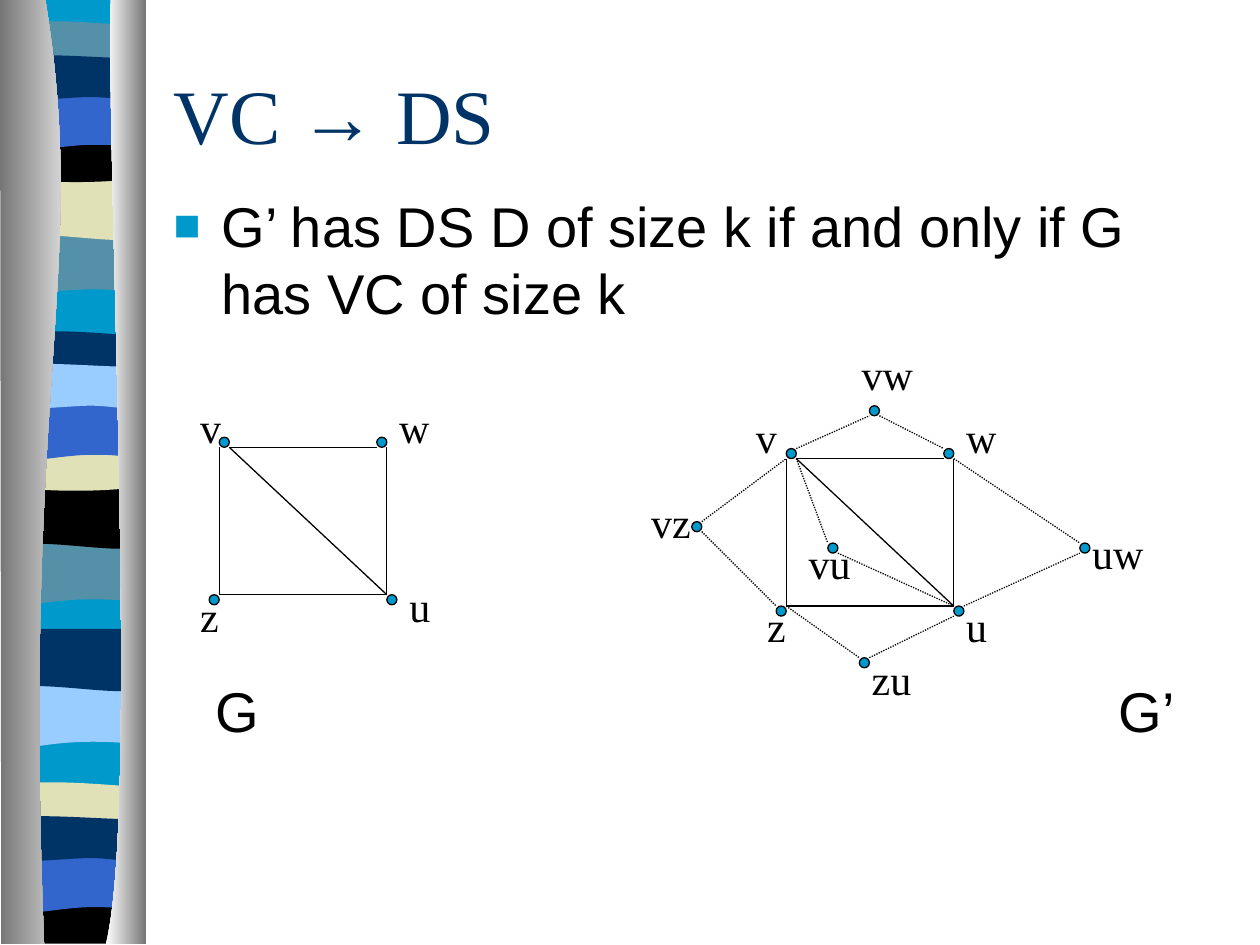
from dataclasses import dataclass

from lxml import etree
from pptx import Presentation
from pptx.dml.color import RGBColor
from pptx.enum.dml import MSO_LINE
from pptx.enum.shapes import MSO_CONNECTOR, MSO_SHAPE
from pptx.enum.text import MSO_ANCHOR
from pptx.oxml.ns import qn
from pptx.util import Inches, Pt

STRAIGHT, OVAL = MSO_CONNECTOR.STRAIGHT, MSO_SHAPE.OVAL
DOTTED, MIDDLE, TOP = MSO_LINE.ROUND_DOT, MSO_ANCHOR.MIDDLE, MSO_ANCHOR.TOP


@dataclass(frozen=True)
class Theme:
    serif: str = "Times New Roman"
    sans: str = "Arial"
    title_size: int = 44
    body_size: int = 32
    label_size: int = 24
    line_width: float = 0.75
    black: str = "000000"
    navy: str = "003366"
    cyan: str = "0099CC"
    blue: str = "3366CC"
    sky: str = "99CCFF"
    teal: str = "5490A8"
    sand: str = "E1E1B7"
    grey: str = "767676"
    white: str = "FFFFFF"


THEME = Theme()
DOT = 0.08

# Outlines of the wavy bands: pairs are line ends, sextuples are Bezier curves.
BANDS = {
    "dip": [(0, 0), (1.08, 0), (1.08, 0.47), (0.33, 0.39, 0.18, 0.55, 0, 0.47)],
    "swell": [(0, 0), (1.08, 0), (1.08, 0.47), (0.9, 0.55, 0.33, 0.41, 0, 0.47)],
    "lens": [(0, 0.05), (0.06, 0, 0.23, 0.01, 0.41, 0.01),
             (0.59, 0.01, 0.94, 0.04, 1.08, 0.05), (1.08, 0.29),
             (0.9, 0.33, 0.18, 0.33, 0, 0.29)],
    "cup": [(0, 0), (0.66, 0.05, 0.85, 0, 1.08, 0), (1.08, 0.32),
            (0.9, 0.38, 0.18, 0.38, 0, 0.32)],
    "arch": [(0, 0), (1.08, 0), (1.08, 0.47), (0.91, 0.41, 0.84, 0.41, 0.66, 0.41),
             (0.48, 0.41, 0.16, 0.47, 0, 0.47)],
    "wave": [(0, 0.05), (0.15, 0, 0.73, 0.05, 0.91, 0.05), (1.08, 0.05), (1.08, 0.36),
             (1.01, 0.41, 0.84, 0.36, 0.66, 0.36), (0.48, 0.36, 0.11, 0.41, 0, 0.36)],
    "base": [(0, 0.06), (0.28, 0.04, 0.7, 0, 1.08, 0.02), (1.08, 0.37), (0, 0.37)],
    "column": [(0, 0), (1.08, 0), (1.08, 7.48), (0, 7.48)],
}
# Outline, top and colour, from back to front.
RIBBON = [
    ("column", 0, THEME.cyan),
    ("dip", 1.85, THEME.teal), ("swell", 1.41, THEME.sand), ("lens", 0.16, THEME.teal),
    ("cup", 1.08, THEME.black), ("arch", 0.74, THEME.blue), ("wave", 0.41, THEME.navy),
    ("dip", 4.31, THEME.teal), ("swell", 3.86, THEME.black), ("lens", 2.62, THEME.navy),
    ("cup", 3.53, THEME.sand), ("arch", 3.2, THEME.blue), ("wave", 2.86, THEME.sky),
    ("dip", 5.44, THEME.sky), ("swell", 4.99, THEME.navy), ("lens", 6.2, THEME.sand),
    ("base", 7.12, THEME.black), ("arch", 6.79, THEME.blue), ("wave", 6.45, THEME.navy),
]
LEFT_EDGE = [(0.36, 0), (0.71, 2.16, 0.17, 2.96, 0.35, 7.49), (0.01, 7.49), (0, 0)]
RIGHT_EDGE = [(0.88, 0), (0.84, 1.25, 1.11, 6.46, 0.84, 7.49), (1.16, 7.49), (1.16, 0)]

# Node places and label places are measured from the dot of node v.
CORE_NODES = {"v": (0, 0), "w": (1.25, 0), "z": (-0.08, 1.25), "u": (1.33, 1.25)}
EDGE_NODES = {"vz": (-0.75, 0.58), "vw": (0.66, -0.34), "vu": (0.33, 0.75),
              "zu": (0.58, 1.66), "uw": (2.33, 0.75)}
# Each edge joins two corners of the squares around the dots.
CORE_EDGES = ["v br w bl", "w br u tl", "z tr u tl", "v bl z tr", "v br u tl"]
DOTTED_EDGES = ["v tr vw bl", "vw br w tl", "w br uw tl", "u tr uw bl", "zu tr u bl",
                "z tr zu tl", "vz tr v bl", "vz br z tl", "v br vu tl", "vu br u tl"]
G_LABELS = {"v": (-0.25, -0.33), "w": (1.33, -0.33), "u": (1.41, 1.09), "z": (-0.25, 1.17)}
G_PRIME_LABELS = {
    "v": (-0.34, -0.34), "vz": (-1.17, 0.33), "w": (1.33, -0.34), "u": (1.33, 1.16),
    "vu": (0.08, 0.66), "z": (-0.25, 1.16), "zu": (0.58, 1.58), "uw": (2.33, 0.58),
    "vw": (0.5, -0.84),
}
LABEL_WIDTHS = {"vz": 0.67, "zu": 0.67, "vw": 0.67, "vu": 0.75, "uw": 1}


def rgb(colour):
    return RGBColor.from_string(colour)


def bend_curves(shape, outline):
    """Turn each three lines that stand for a curve into one Bezier segment."""
    lines = iter(list(shape._element.iter(qn("a:lnTo"))))
    for segment in outline[1:]:
        line = next(lines)
        if len(segment) == 6:
            curve = etree.Element(qn("a:cubicBezTo"))
            line.addprevious(curve)
            for part in (line, next(lines), next(lines)):
                curve.append(part[0])
                part.getparent().remove(part)


def add_outline(slide, outline, left, top, colours):
    """Draw a closed outline in one colour, or in a left-to-right gradient of two."""
    points = [(Inches(left + segment[i]), Inches(top + segment[i + 1]))
              for segment in outline for i in range(0, len(segment), 2)]
    builder = slide.shapes.build_freeform(*points[0])
    builder.add_line_segments(points[1:], close=True)
    shape = builder.convert_to_shape()
    bend_curves(shape, outline)
    shape.shadow.inherit = False
    shape.line.fill.background()
    if len(colours) == 1:
        shape.fill.solid()
        shape.fill.fore_color.rgb = rgb(colours[0])
    else:
        shape.fill.gradient()
        shape.fill.gradient_angle = 0
        for stop, colour in zip(shape.fill.gradient_stops, colours):
            stop.color.rgb = rgb(colour)


def add_ribbon(slide, left, top):
    for outline, offset, colour in RIBBON:
        add_outline(slide, BANDS[outline], left + 0.06, top + offset, [colour])
    add_outline(slide, LEFT_EDGE, left, top, [THEME.grey, THEME.white])
    add_outline(slide, RIGHT_EDGE, left, top, [THEME.white, THEME.grey])


def add_text(slide, text, box, size, font, colour=THEME.black, anchor=TOP):
    frame = slide.shapes.add_textbox(*map(Inches, box)).text_frame
    frame.word_wrap = True
    frame.vertical_anchor = anchor
    paragraph = frame.paragraphs[0]
    for part in [text] if isinstance(text, str) else text:
        run = paragraph.add_run()
        run.text = part
        run.font.size = Pt(size)
        run.font.name = font
        run.font.color.rgb = rgb(colour)
    return paragraph


def add_title(slide, box):
    paragraph = add_text(slide, ["VC ", "→", " DS"], box, THEME.title_size,
                         THEME.serif, THEME.navy, MIDDLE)
    paragraph.runs[1].font.name = THEME.sans


def add_body(slide, box):
    paragraph = add_text(slide, "G’ has DS D of size k if and only if G has VC of size k",
                         box, THEME.body_size, THEME.sans)
    properties = paragraph._p.get_or_add_pPr()
    properties.set("marL", str(Inches(0.38)))
    properties.set("indent", str(Inches(-0.38)))
    colour = etree.SubElement(properties, qn("a:buClr"))
    etree.SubElement(colour, qn("a:srgbClr"), val=THEME.cyan)
    etree.SubElement(properties, qn("a:buSzPct"), val="80000")
    etree.SubElement(properties, qn("a:buFont"), typeface=THEME.sans)
    etree.SubElement(properties, qn("a:buChar"), char="■")


def add_edge(slide, start, end, dash=None):
    line = slide.shapes.add_connector(STRAIGHT, *map(Inches, start + end))
    line.line.color.rgb = rgb(THEME.black)
    line.line.width = Pt(THEME.line_width)
    if dash:
        line.line.dash_style = dash
    etree.SubElement(line._element.spPr, qn("a:effectLst"))


def add_graph(slide, left, top, nodes, edges, labels):
    """Draw a graph whose node v has its dot at left, top."""
    places = {name: (left + x, top + y) for name, (x, y) in nodes.items()}

    def corner(name, side):
        x, y = places[name]
        return x + DOT * (side[1] == "r"), y + DOT * (side[0] == "b")

    for x, y in places.values():
        dot = slide.shapes.add_shape(OVAL, *map(Inches, (x, y, DOT, DOT)))
        dot.shadow.inherit = False
        dot.fill.solid()
        dot.fill.fore_color.rgb = rgb(THEME.cyan)
        dot.line.color.rgb = rgb(THEME.black)
        dot.line.width = Pt(THEME.line_width)
    for edge in edges:
        first, first_side, second, second_side = edge.split()
        add_edge(slide, corner(first, first_side), corner(second, second_side),
                 DOTTED if edge in DOTTED_EDGES else None)
    for name, (x, y) in labels.items():
        box = (left + x, top + y, LABEL_WIDTHS.get(name, 0.5), 0.5)
        add_text(slide, name, box, THEME.label_size, THEME.serif)


def main():
    presentation = Presentation()
    presentation.slide_width, presentation.slide_height = Inches(10), Inches(7.5)
    slide = presentation.slides.add_slide(presentation.slide_layouts[6])
    add_ribbon(slide, 0, 0)
    add_title(slide, (1.28, 0.28, 8.5, 1.25))
    add_body(slide, (1.28, 1.47, 8.5, 1.58))
    add_graph(slide, 1.74, 3.47, CORE_NODES, CORE_EDGES, G_LABELS)
    add_graph(slide, 6.24, 3.56, CORE_NODES | EDGE_NODES, CORE_EDGES + DOTTED_EDGES,
              G_PRIME_LABELS)
    for name, left in (("G", 1.61), ("G’", 8.78)):
        add_text(slide, name, (left, 5.32, 1.02, 0.64), THEME.body_size, THEME.sans)
    presentation.save("out.pptx")


if __name__ == "__main__":
    main()
